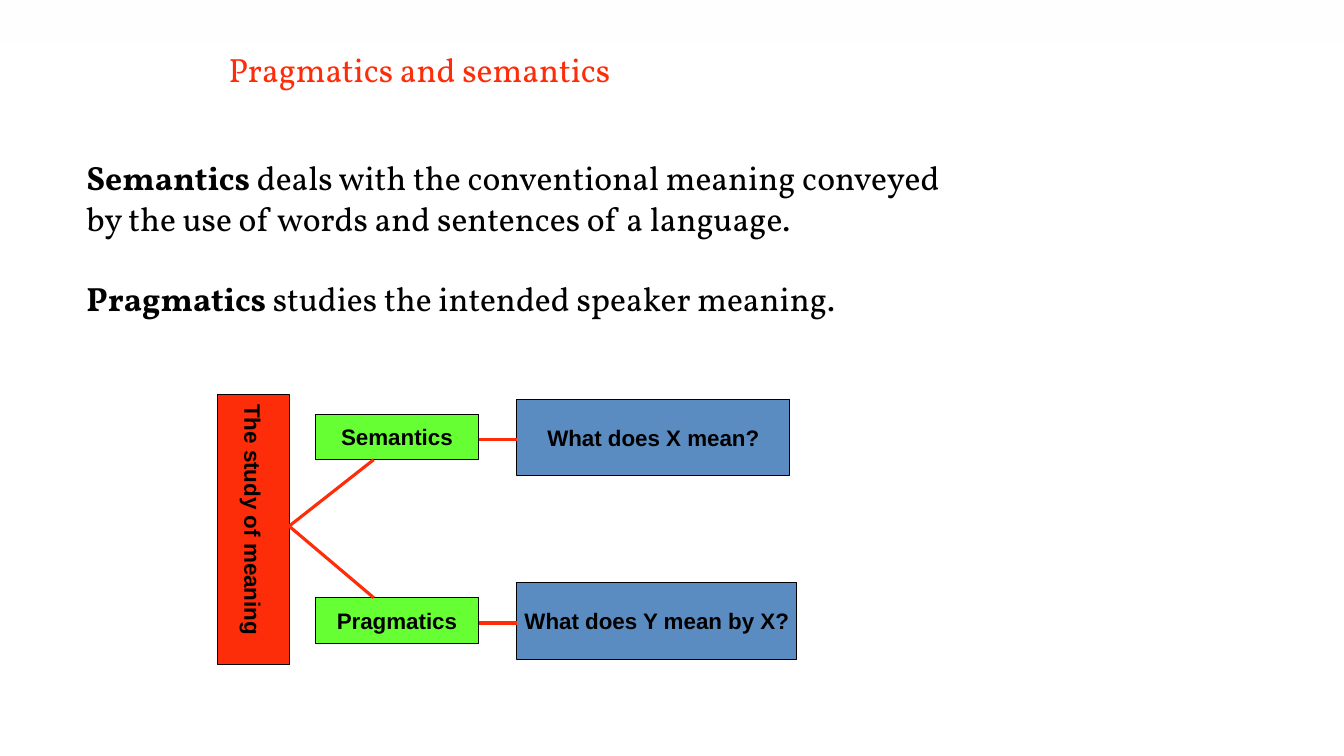
from dataclasses import dataclass

from lxml import etree
from pptx import Presentation
from pptx.dml.color import RGBColor
from pptx.enum.shapes import MSO_CONNECTOR, MSO_SHAPE
from pptx.enum.text import MSO_ANCHOR, PP_ALIGN
from pptx.oxml.ns import qn
from pptx.util import Pt

EMU_PER_PX = 9144
RECTANGLE = MSO_SHAPE.RECTANGLE
STRAIGHT = MSO_CONNECTOR.STRAIGHT
MIDDLE = MSO_ANCHOR.MIDDLE
TOP = MSO_ANCHOR.TOP
CENTER = PP_ALIGN.CENTER
COLORS = {
    "red": "FD2C09",
    "green": "66FF33",
    "blue": "5B8CC1",
    "black": "000000",
    "white": "FFFFFF",
}
SERIF = "Vollkorn"
SANS = "Arial"


@dataclass(frozen=True)
class Box:
    left: int
    top: int
    width: int
    height: int

    @property
    def right(self) -> int:
        return self.left + self.width

    @property
    def bottom(self) -> int:
        return self.top + self.height

    @property
    def middle(self) -> int:
        return self.top + self.height // 2

    def emu(self) -> tuple[int, ...]:
        return tuple(px(n) for n in (self.left, self.top, self.width, self.height))


@dataclass(frozen=True)
class Branch:
    field: str
    question: str
    middle: int
    question_width: int

    @property
    def field_box(self) -> Box:
        return Box(313, self.middle - 23, 162, 45)

    @property
    def question_box(self) -> Box:
        return Box(513, self.middle - 38, self.question_width, 76)


@dataclass(frozen=True)
class Span:
    text: str
    bold: bool = False


BRANCHES = (
    Branch("Semantics", "What does X mean?", 434, 271),
    Branch("Pragmatics", "What does Y mean by X?", 616, 278),
)
STUDY = Box(216, 391, 71, 268)
FORK_X = 371
LINK_DROP = 2
TITLE = ((Span("Pragmatics and semantics"),),)
DEFINITIONS = (
    (
        Span("Semantics", True),
        Span(" deals with the conventional meaning conveyed by the use of words and sentences of a language."),
    ),
    (Span("Pragmatics ", True), Span("studies the intended speaker meaning.")),
)


def px(length: int) -> int:
    return length * EMU_PER_PX


def rgb(color: str) -> RGBColor:
    return RGBColor.from_string(COLORS[color])


def add_span(paragraph, span: Span, font: str, size: int, color: str) -> None:
    run = paragraph.add_run()
    run.text = span.text
    run.font.name = font
    run.font.size = Pt(size)
    run.font.bold = span.bold
    run.font.color.rgb = rgb(color)


def add_passage(slide, box: Box, passage: tuple[tuple[Span, ...], ...], color: str, anchor) -> None:
    frame = slide.shapes.add_textbox(*box.emu()).text_frame
    frame.word_wrap = True
    frame.vertical_anchor = anchor
    for index, spans in enumerate(passage):
        paragraph = frame.add_paragraph() if index else frame.paragraphs[0]
        if index:
            paragraph.space_before = Pt(28.8)
        for span in spans:
            add_span(paragraph, span, SERIF, 24, color)


def add_node(slide, box: Box, label: str, fill: str, vertical: bool = False) -> None:
    node = slide.shapes.add_shape(RECTANGLE, *box.emu())
    node.shadow.inherit = False
    node.fill.solid()
    node.fill.fore_color.rgb = rgb(fill)
    node.line.color.rgb = rgb("black")
    node.line.width = Pt(0.75)
    frame = node.text_frame
    frame.word_wrap = False
    frame.vertical_anchor = MIDDLE
    side, end = (5, 10) if vertical else (10, 5)
    frame.margin_left = frame.margin_right = px(side)
    frame.margin_top = frame.margin_bottom = px(end)
    if vertical:
        frame._txBody.bodyPr.set("vert", "eaVert")
    paragraph = frame.paragraphs[0]
    paragraph.alignment = CENTER
    add_span(paragraph, Span(label, True), SANS, 16, "black")


def add_link(slide, start: tuple[int, int], end: tuple[int, int]) -> None:
    link = slide.shapes.add_connector(STRAIGHT, *(px(n) for n in start + end))
    link.line.color.rgb = rgb("red")
    link.line.width = Pt(2.25)
    etree.SubElement(link._element.spPr, qn("a:effectLst"))


def add_top_band(slide) -> None:
    band = slide.shapes.add_shape(RECTANGLE, *Box(0, 0, 1333, 44).emu())
    band.shadow.inherit = False
    band.line.fill.background()
    band.fill.gradient()
    band.fill.gradient_angle = 270
    for stop in band.fill.gradient_stops:
        stop.color.rgb = rgb("white")
    for color, alpha in zip(band._element.spPr.iter(qn("a:srgbClr")), (34, 5)):
        etree.SubElement(color, qn("a:alpha"), val=str(alpha * 1000))


def add_diagram(slide) -> None:
    for branch in BRANCHES:
        add_node(slide, branch.question_box, branch.question, "blue")
        add_node(slide, branch.field_box, branch.field, "green")
    add_node(slide, STUDY, "The study of meaning", "red", vertical=True)
    fork_y = STUDY.middle - 3
    for branch in BRANCHES:
        field = branch.field_box
        near_edge = field.bottom if field.middle < fork_y else field.top
        add_link(slide, (STUDY.right, fork_y), (FORK_X, near_edge))
        link_y = branch.middle + LINK_DROP
        add_link(slide, (field.right, link_y), (branch.question_box.left, link_y))


def main() -> None:
    deck = Presentation()
    deck.slide_width = px(1334)
    deck.slide_height = px(750)
    slide = deck.slides.add_slide(deck.slide_layouts[6])
    add_top_band(slide)
    add_passage(slide, Box(217, 30, 900, 77), TITLE, "red", MIDDLE)
    add_diagram(slide)
    add_passage(slide, Box(76, 151, 906, 210), DEFINITIONS, "black", TOP)
    deck.save("out.pptx")


if __name__ == "__main__":
    main()
